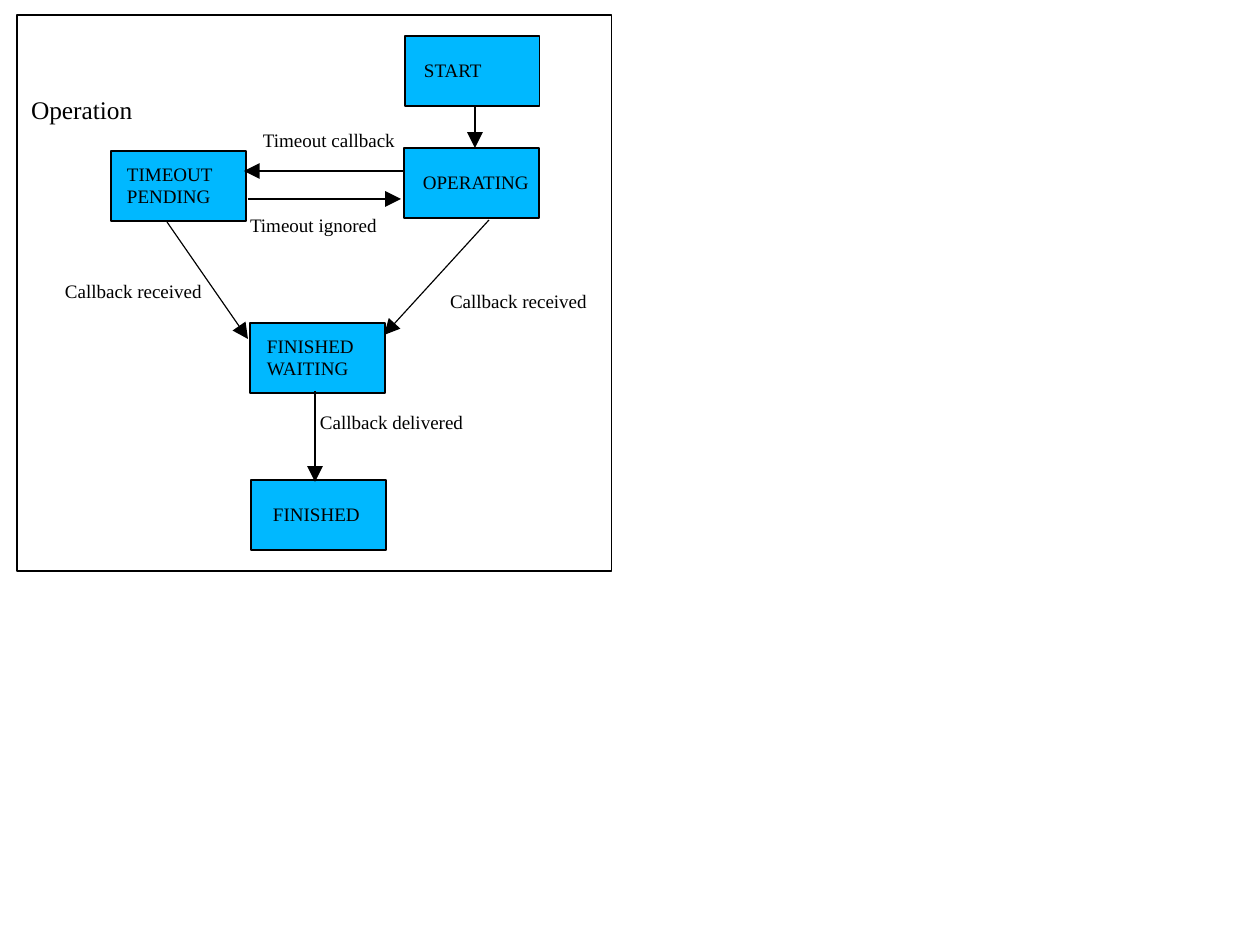
"""Builds a slide with the state diagram of an operation."""
from lxml.etree import SubElement
from pptx import Presentation
from pptx.dml.color import RGBColor
from pptx.enum.shapes import MSO_CONNECTOR, MSO_SHAPE
from pptx.enum.text import MSO_ANCHOR, PP_ALIGN
from pptx.oxml.ns import qn
from pptx.util import Pt

PX = 8000
SLIDE_SIZE = 1260, 945
FONT = "Times New Roman"
BLACK = RGBColor(0x00, 0x00, 0x00)
BLUE = RGBColor(0x00, 0xB8, 0xFF)
LINE_WIDTH = 0.75

TITLE = ("Operation", 31, 96, 210, 30)
FRAME = 17, 15, 595, 556
STATE_SIZE = 135, 70
LABEL_SIZE = 185, 22

# name, left, top, text indent
STATES = [
    ("START", 405, 36, 19),
    ("OPERATING", 404, 148, 19),
    ("TIMEOUT PENDING", 111, 151, 16),
    ("FINISHED WAITING", 250, 323, 17),
    ("FINISHED", 251, 480, 22),
]
ARROWS = [
    ((475, 106), (475, 148)),
    ((405, 171), (244, 171)),
    ((248, 199), (401, 199)),
    ((489, 220), (384, 335)),
    ((167, 222), (248, 339)),
    ((315, 391), (315, 482)),
]
LABELS = [
    ("Timeout callback", 263, 130),
    ("Timeout ignored", 250, 215),
    ("Callback received", 65, 281),
    ("Callback received", 450, 291),
    ("Callback delivered", 320, 412),
]


def scaled(*lengths):
    return [length * PX for length in lengths]


def write(box, text, size=12, indent=0, anchor=MSO_ANCHOR.TOP):
    frame = box.text_frame
    frame.word_wrap = True
    frame.vertical_anchor = anchor
    frame.margin_left = indent * PX
    frame.margin_top = frame.margin_right = frame.margin_bottom = 0
    para = frame.paragraphs[0]
    para.alignment = PP_ALIGN.LEFT
    para.line_spacing = 0.97
    span = para.add_run()
    span.text = text
    span.font.name = FONT
    span.font.size = Pt(size)
    span.font.color.rgb = BLACK


def add_box(slide, left, top, width, height, fill=None):
    box = slide.shapes.add_shape(MSO_SHAPE.RECTANGLE, *scaled(left, top, width, height))
    box.shadow.inherit = False
    if fill is None:
        box.fill.background()
    else:
        box.fill.solid()
        box.fill.fore_color.rgb = fill
    box.line.color.rgb = BLACK
    box.line.width = Pt(LINE_WIDTH)
    return box


def add_arrow(slide, start, end):
    arrow = slide.shapes.add_connector(MSO_CONNECTOR.STRAIGHT, *scaled(*start, *end))
    arrow.line.color.rgb = BLACK
    arrow.line.width = Pt(LINE_WIDTH)
    properties = arrow.line._get_or_add_ln()
    SubElement(properties, qn("a:tailEnd"), type="triangle", w="lg", len="lg")
    SubElement(properties.getparent(), qn("a:effectLst"))


def main():
    deck = Presentation()
    deck.slide_width, deck.slide_height = scaled(*SLIDE_SIZE)
    page = deck.slides.add_slide(deck.slide_layouts[5])

    text, *place = TITLE
    title = page.shapes.title
    title.left, title.top, title.width, title.height = scaled(*place)
    write(title, text, size=16)

    add_box(page, *FRAME)
    for name, left, top, indent in STATES:
        state = add_box(page, left, top, *STATE_SIZE, fill=BLUE)
        write(state, name, indent=indent, anchor=MSO_ANCHOR.MIDDLE)
    for start, end in ARROWS:
        add_arrow(page, start, end)
    for text, left, top in LABELS:
        write(page.shapes.add_textbox(*scaled(left, top, *LABEL_SIZE)), text)

    deck.save("out.pptx")


if __name__ == "__main__":
    main()
